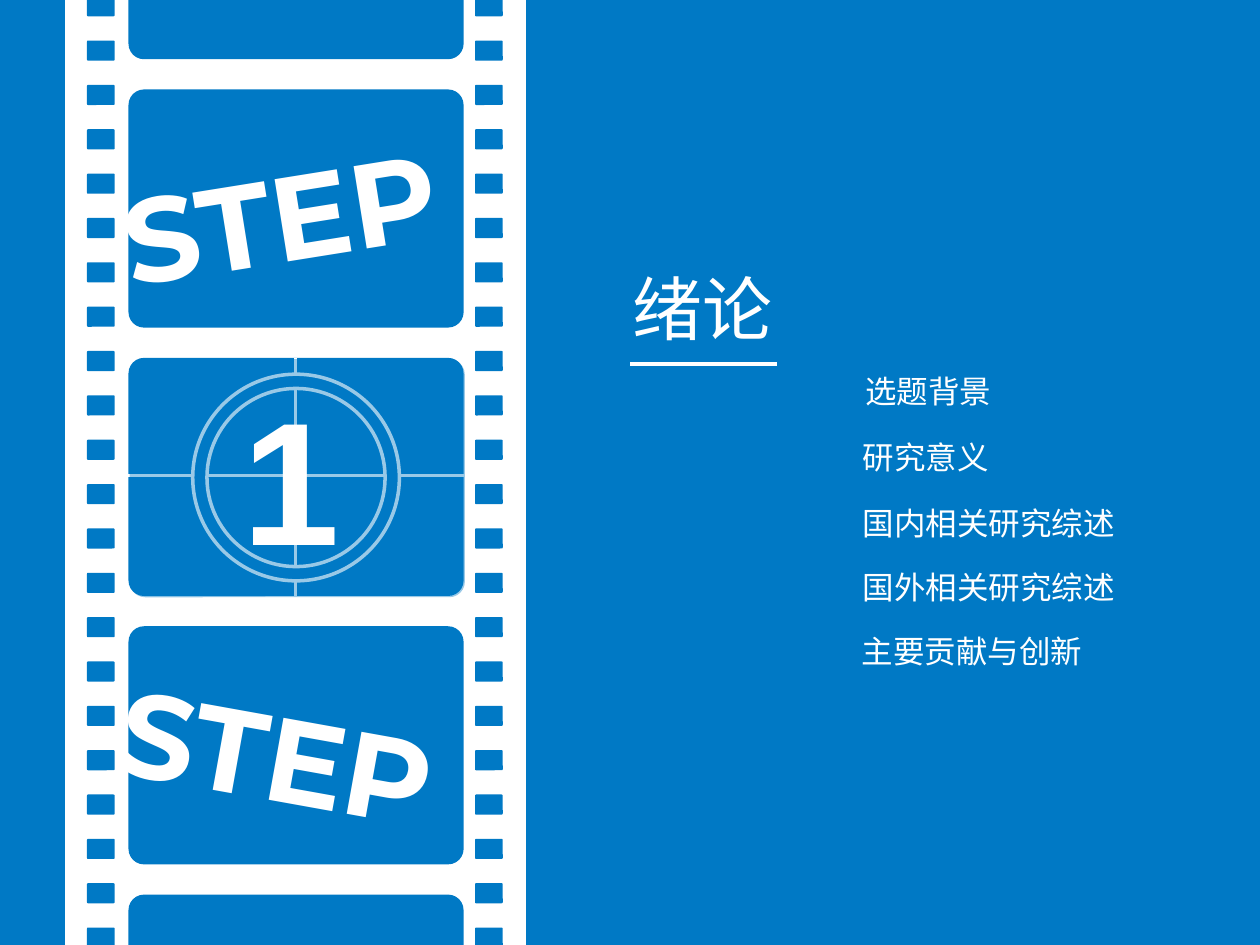
from lxml import etree
from pptx import Presentation
from pptx.dml.color import RGBColor
from pptx.enum import shapes, text
from pptx.oxml import ns
from pptx.util import Inches, Pt

BLUE, WHITE = "0079C5", "FFFFFF"
COLS, ROWS = 100, 75
Kind = shapes.MSO_SHAPE


def paint(form, color):
    form.solid()
    form.fore_color.rgb = RGBColor.from_string(color)


class Film:
    def __init__(self):
        self.deck = Presentation()
        self.deck.slide_width, self.deck.slide_height = Inches(10), Inches(7.5)
        self.slide = self.deck.slides.add_slide(self.deck.slide_layouts[6])
        paint(self.slide.background.fill, BLUE)

    def x(self, col):
        return round(self.deck.slide_width * col / COLS)

    def y(self, row):
        return round(self.deck.slide_height * row / ROWS)

    def box(self, col, row, wide, high):
        return self.x(col), self.y(row), self.x(wide), self.y(high)

    def shape(self, kind, place, fill=BLUE, bend=None, edge=0, alpha=None):
        item = self.slide.shapes.add_shape(kind, *self.box(*place))
        item.shadow.inherit = False
        paint(item.fill, fill)
        if bend is not None:
            item.adjustments[0] = bend
        if edge:
            paint(item.line.fill, WHITE)
            item.line.width = Pt(edge)
        else:
            item.line.fill.background()
        if alpha is not None:
            tone = item.fill._xPr.find(".//" + ns.qn("a:srgbClr"))
            etree.SubElement(tone, ns.qn("a:alpha")).set("val", str(alpha * 1000))

    def line(self, start, end, width):
        item = self.slide.shapes.add_connector(
            shapes.MSO_CONNECTOR.STRAIGHT,
            self.x(start[0]), self.y(start[1]), self.x(end[0]), self.y(end[1]))
        paint(item.line.fill, WHITE)
        item.line.width = Pt(width)
        etree.SubElement(item._element.spPr, ns.qn("a:effectLst"))

    def label(self, words, place, size, face="Noto Sans CJK SC", bold=False, turn=0):
        item = self.slide.shapes.add_textbox(*self.box(*place))
        item.rotation = turn
        frame = item.text_frame
        frame.word_wrap = True
        frame.auto_size = text.MSO_AUTO_SIZE.SHAPE_TO_FIT_TEXT
        frame.text = words
        font = frame.paragraphs[0].runs[0].font
        font.name, font.size, font.bold = face, Pt(size), bold
        font.color.rgb = RGBColor.from_string(WHITE)
        etree.SubElement(font._rPr, ns.qn("a:ea")).set("typeface", face)


def main():
    film = Film()
    film.shape(Kind.RECTANGLE, (5.5, -1.6, 35.9, 78.1), WHITE, edge=4.5)
    for col in (6.9, 37.7):
        for hole in range(22):
            film.shape(Kind.ROUNDED_RECTANGLE,
                       (col, -0.3 + 3.52 * hole, 2.2, 1.6), bend=0.06)
    for cell in range(5):
        film.shape(Kind.ROUNDED_RECTANGLE,
                   (10.2, -14.2 + 21.3 * cell, 26.6, 18.9), bend=0.065)

    film.label("STEP", (8.7, 10.3, 34.5, 12.5), 68, "Montserrat", True, -9.1)
    film.label("STEP", (8.4, 54.3, 34.5, 12.4), 68, "Montserrat", True, 10.2)

    film.line((10.2, 37.75), (37.7, 37.75), 1.5)
    film.line((23.45, 28.4), (23.45, 47.3), 1.5)
    film.shape(Kind.DONUT, (15.3, 29.7, 16.4, 16.4), bend=0.069, edge=2)
    film.shape(Kind.ROUNDED_RECTANGLE, (10.3, 28.5, 26.6, 18.9),
               bend=0.065, alpha=40)
    film.label("1", (18.3, 28.9, 19.5, 17.8), 100, "Arial", True)

    film.line((50, 28.9), (61.7, 28.9), 2.25)
    film.label("绪论", (49.2, 20.6, 13.4, 7.7), 40)
    topics = (("选题背景", 67.7, 29), ("研究意义", 67.5, 34.3),
              ("国内相关研究综述", 67.5, 39.5), ("国外相关研究综述", 67.5, 44.6),
              ("主要贡献与创新", 67.4, 49.7))
    for words, col, row in topics:
        film.label(words, (col, row, 25.3, 4), 18)
    film.deck.save("out.pptx")


if __name__ == "__main__":
    main()
